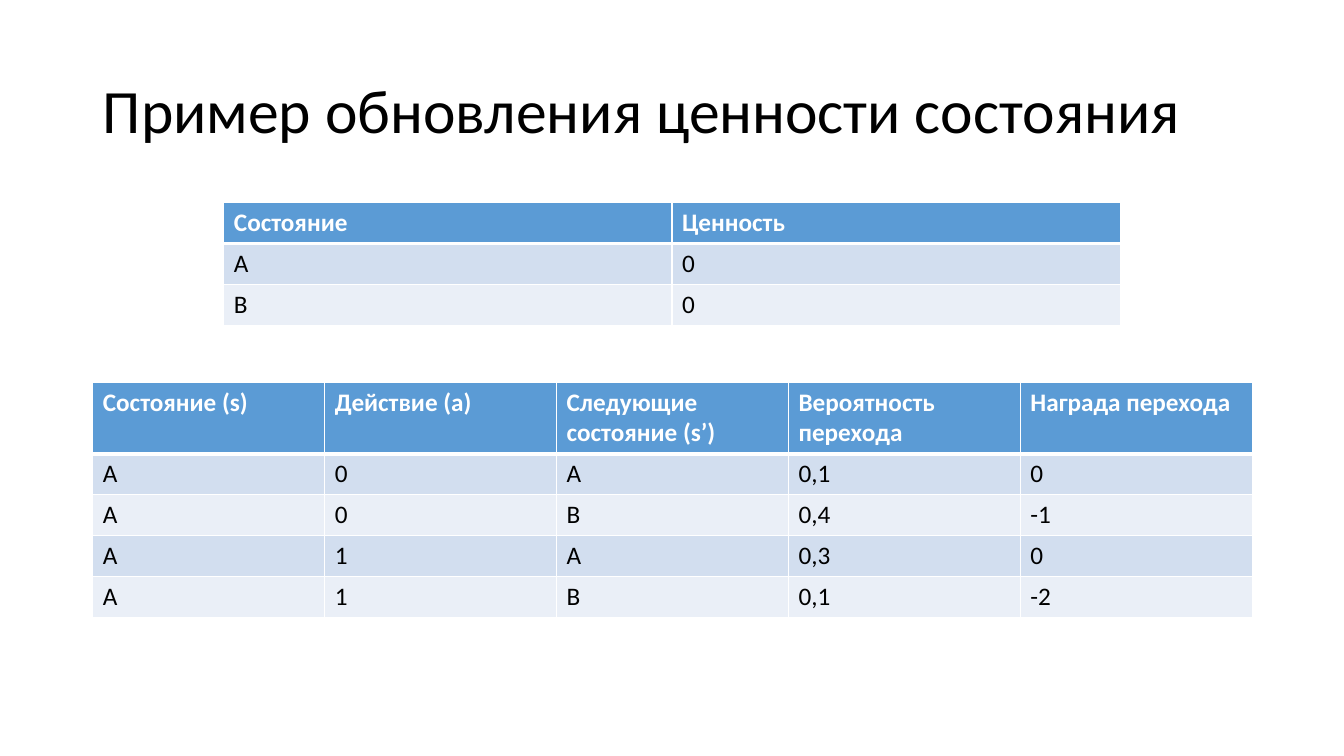
"""Build the slide about updating state values."""
from lxml.etree import SubElement
from pptx import Presentation
from pptx.dml.color import RGBColor
from pptx.enum.text import MSO_ANCHOR, PP_ALIGN
from pptx.oxml.ns import qn
from pptx.util import Inches, Pt

FONT = "Calibri"
BLACK = RGBColor(0x00, 0x00, 0x00)
WHITE = RGBColor(0xFF, 0xFF, 0xFF)
HEADER_BLUE = RGBColor(0x5B, 0x9B, 0xD5)
BANDS = [RGBColor(0xEA, 0xEF, 0xF7), RGBColor(0xD2, 0xDE, 0xEF)]
ROW_HEIGHT = 0.405

TRANSITIONS = [
    ["Состояние (s)", "Действие (a)", "Следующие состояние (s’)",
     "Вероятность перехода", "Награда перехода"],
    ["А", "0", "А", "0,1", "0"],
    ["А", "0", "В", "0,4", "-1"],
    ["A", "1", "A", "0,3", "0"],
    ["A", "1", "B", "0,1", "-2"],
]
VALUES = [["Состояние", "Ценность"], ["А", "0"], ["B", "0"]]


def add_run(paragraph, text, size, color, bold=False):
    run = paragraph.add_run()
    run.text = text
    run.font.name = FONT
    run.font.size = Pt(size)
    run.font.color.rgb = color
    run.font.bold = bold


def add_border(cell, side, width):
    line = SubElement(cell._tc.get_or_add_tcPr(), qn(f"a:ln{side}"), w=str(Pt(width)))
    fill = SubElement(line, qn("a:solidFill"))
    SubElement(fill, qn("a:srgbClr"), val=str(WHITE))


presentation = Presentation()
presentation.slide_width = Inches(13.33)
presentation.slide_height = Inches(7.5)
slide = presentation.slides.add_slide(presentation.slide_layouts[5])
slide.background.fill.solid()
slide.background.fill.fore_color.rgb = WHITE

title = slide.shapes.title
title.left, title.top = Inches(0.92), Inches(0.4)
title.width, title.height = Inches(11.5), Inches(1.45)
title.text_frame.word_wrap = True
title.text_frame.vertical_anchor = MSO_ANCHOR.MIDDLE
title_paragraph = title.text_frame.paragraphs[0]
title_paragraph.alignment = PP_ALIGN.LEFT
title_paragraph.line_spacing = 0.9
add_run(title_paragraph, "Пример обновления ценности состояния", 44, BLACK)

for rows, left, top, width, header_height in [
    (TRANSITIONS, 0.92, 3.79, 11.5, 0.7),
    (VALUES, 2.22, 2.01, 8.89, ROW_HEIGHT),
]:
    height = header_height + ROW_HEIGHT * (len(rows) - 1)
    table = slide.shapes.add_table(
        len(rows), len(rows[0]),
        Inches(left), Inches(top), Inches(width), Inches(height),
    ).table
    for row_index, texts in enumerate(rows):
        is_header = row_index == 0
        table.rows[row_index].height = Inches(header_height if is_header else ROW_HEIGHT)
        for column_index, text in enumerate(texts):
            cell = table.cell(row_index, column_index)
            add_border(cell, "L", 1)
            add_border(cell, "R", 1)
            add_border(cell, "T", 3 if row_index == 1 else 1)
            add_border(cell, "B", 3 if is_header else 1)
            cell.fill.solid()
            cell.fill.fore_color.rgb = HEADER_BLUE if is_header else BANDS[row_index % 2]
            add_run(cell.text_frame.paragraphs[0], text, 18,
                    WHITE if is_header else BLACK, is_header)

presentation.save("out.pptx")
